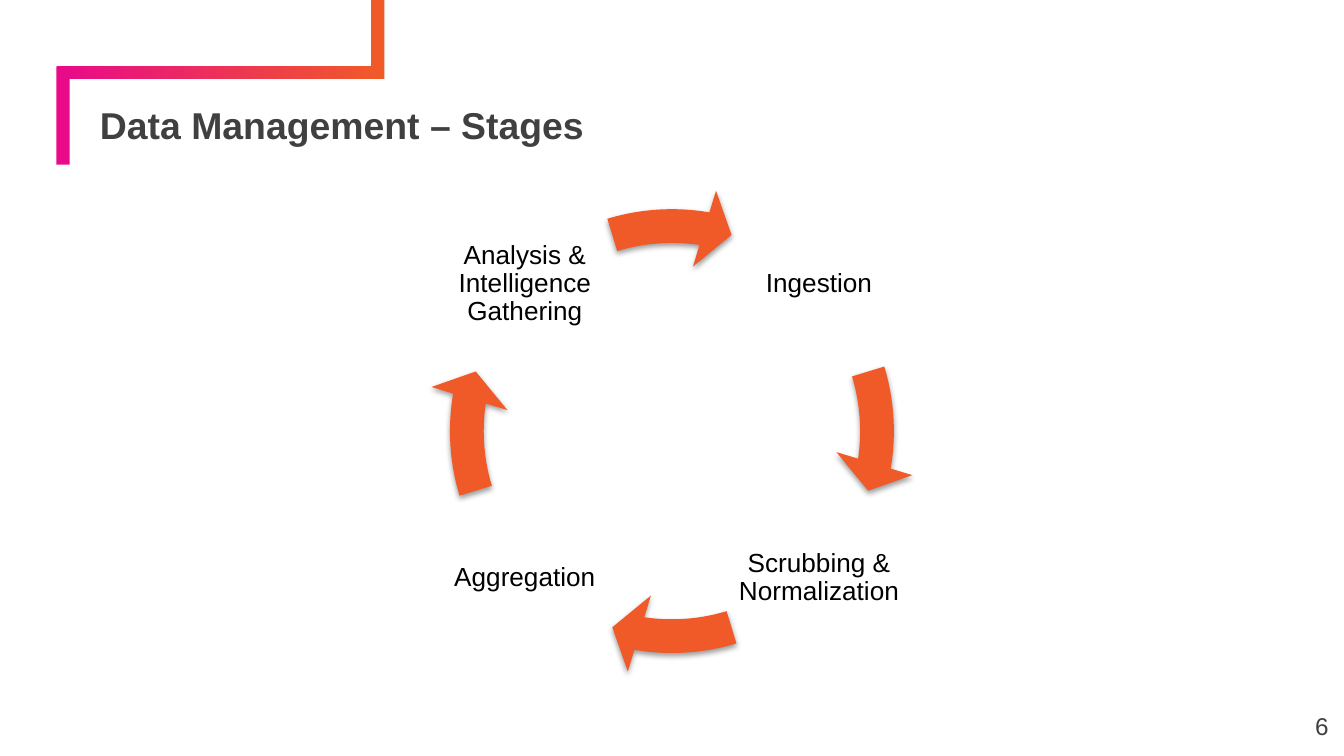
from lxml.etree import SubElement
from pptx import Presentation
from pptx.dml.color import RGBColor
from pptx.enum.shapes import MSO_SHAPE as Shape
from pptx.enum.text import MSO_ANCHOR as Anchor, PP_ALIGN as Align
from pptx.oxml.ns import qn
from pptx.util import Cm, Pt

ORANGE = RGBColor(0xF0, 0x5A, 0x28)
PINK = RGBColor(0xE8, 0x0A, 0x89)
GREY = RGBColor(0x40, 0x40, 0x40)
BLACK = RGBColor(0, 0, 0)

STAGES = [
    # text, column and row relative to the centre of the cycle
    ("Ingestion", 1, -1),
    ("Scrubbing & Normalization", 1, 1),
    ("Aggregation", -1, 1),
    ("Analysis & Intelligence Gathering", -1, -1),
]
CENTRE_X, CENTRE_Y = 12.7, 8.15
RING_SIZE = 9.25
LABEL_SIZE = 3.28
LABEL_OFFSET = 2.78
FULL_TURN = 216  # 360 degrees in adjustment units
BAR = 0.25


class SlideBuilder:
    font = "Arial"

    def __init__(self, slide):
        self.slide = slide

    def shape(self, kind, left, top, width, height, color):
        shape = self.slide.shapes.add_shape(kind, Cm(left), Cm(top), Cm(width), Cm(height))
        shape.shadow.inherit = False
        shape.fill.solid()
        shape.fill.fore_color.rgb = color
        shape.line.fill.background()
        return shape

    def bar(self, left, top, length, color, rotation=0):
        shape = self.shape(Shape.RECTANGLE, left, top, length, BAR, color)
        shape.rotation = rotation
        return shape

    def gradient_bar(self, left, top, length, start, end):
        fill = self.bar(left, top, length, start).fill
        fill.gradient()
        fill.gradient_angle = 0
        for stop, color, position in zip(fill.gradient_stops, (start, end), (0, 1)):
            stop.color.rgb = color
            stop.position = position

    def cycle_arrow(self, quarter):
        """Draw one arc of the ring, turned clockwise by the given quarters."""
        shape = self.shape(Shape.CIRCULAR_ARROW, CENTRE_X - RING_SIZE / 2,
                           CENTRE_Y - RING_SIZE / 2, RING_SIZE, RING_SIZE, ORANGE)
        turn = quarter * FULL_TURN / 4
        values = (0.069, 4.657, 5.481 + turn, (205.862 + turn) % FULL_TURN, 0.081)
        for index, value in enumerate(values):
            shape.adjustments[index] = value
        self.soft_shadow(shape)

    def soft_shadow(self, shape):
        effects = shape.element.spPr.find(qn("a:effectLst"))
        shadow = SubElement(effects, qn("a:outerShdw"), blurRad=str(Pt(3.1)),
                            dist=str(Pt(1.6)), dir="5400000", rotWithShape="0")
        color = SubElement(shadow, qn("a:srgbClr"), val=str(BLACK))
        SubElement(color, qn("a:alpha"), val="38000")

    def text(self, text, left, top, width, height, size, color,
             align=Align.LEFT, bold=False, margins=(0.18, 0.1), spacing=0.9):
        box = self.slide.shapes.add_textbox(Cm(left), Cm(top), Cm(width), Cm(height))
        frame = box.text_frame
        frame.word_wrap = True
        frame.vertical_anchor = Anchor.MIDDLE
        frame.margin_left = frame.margin_right = Cm(margins[0])
        frame.margin_top = frame.margin_bottom = Cm(margins[1])
        frame.text = text
        paragraph = frame.paragraphs[0]
        paragraph.alignment = align
        paragraph.line_spacing = spacing
        font = paragraph.runs[0].font
        font.name, font.size, font.bold = self.font, Pt(size), bold
        font.color.rgb = color

    def stage_label(self, text, column, row):
        self.text(text, CENTRE_X + column * LABEL_OFFSET - LABEL_SIZE / 2,
                  CENTRE_Y + row * LABEL_OFFSET - LABEL_SIZE / 2,
                  LABEL_SIZE, LABEL_SIZE, 14, BLACK, Align.CENTER, margins=(0.05, 0.05))


def main():
    presentation = Presentation()
    presentation.slide_width, presentation.slide_height = Cm(25.4), Cm(14.29)
    builder = SlideBuilder(presentation.slides.add_slide(presentation.slide_layouts[6]))

    builder.gradient_bar(1.08, 1.25, 6.18, PINK, ORANGE)
    builder.bar(0.26, 2.06, 1.86, PINK, rotation=90)
    builder.bar(6.39, 0.62, 1.5, ORANGE, rotation=90)
    builder.text("Data Management – Stages", 1.71, 1.98, 22.94, 0.87, 20, GREY, bold=True)
    builder.text("6", 23.77, 13.18, 1.52, 1.09, 13, GREY, Align.RIGHT, spacing=1.0)

    for quarter, stage in enumerate(STAGES):
        builder.stage_label(*stage)
        builder.cycle_arrow(quarter)

    presentation.save("out.pptx")


if __name__ == "__main__":
    main()
